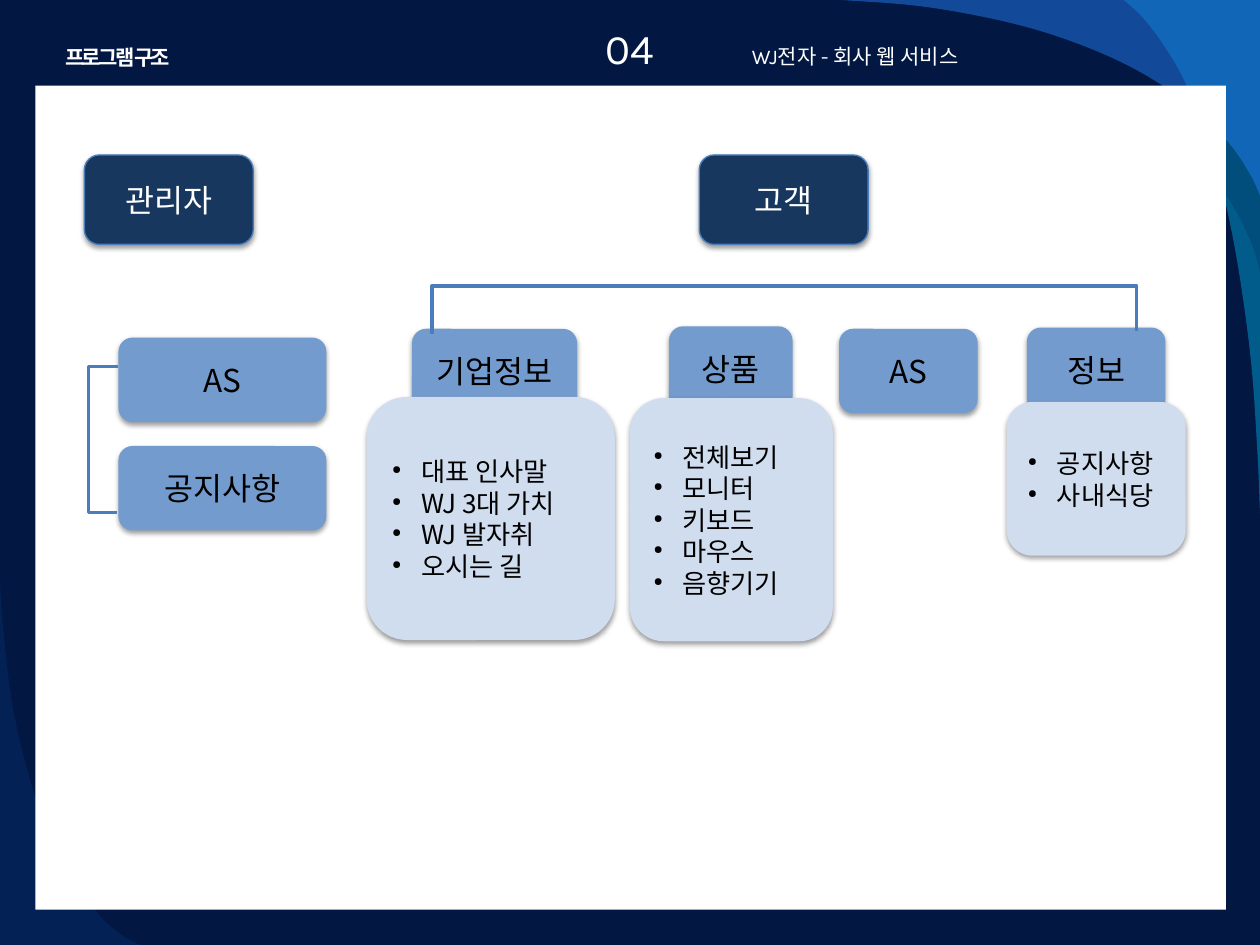
from dataclasses import dataclass

from lxml.etree import SubElement
from pptx import Presentation
from pptx.dml.color import RGBColor
from pptx.enum.shapes import MSO_CONNECTOR, MSO_SHAPE
from pptx.enum.text import MSO_ANCHOR, MSO_AUTO_SIZE, PP_ALIGN
from pptx.oxml.ns import qn
from pptx.util import Inches, Pt

NAVY = RGBColor(0x02, 0x17, 0x41)
CYAN = RGBColor(0x00, 0xB1, 0xE9)
BRIGHT = RGBColor(0x24, 0x7F, 0xF4)
ROYAL = RGBColor(0x08, 0x4A, 0xA1)
ROLE_FILL = RGBColor(0x17, 0x37, 0x5E)
MENU_FILL = RGBColor(0x74, 0x9B, 0xCE)
LIST_FILL = RGBColor(0xD0, 0xDD, 0xEF)
LINE = RGBColor(0x4A, 0x7E, 0xBB)
WHITE = RGBColor(0xFF, 0xFF, 0xFF)
BLACK = RGBColor(0x00, 0x00, 0x00)
KARLA, NOTO = "Karla", "Noto Sans CJK KR"


@dataclass
class Box:
    lines: list[str]
    left: float
    top: float
    width: float
    height: float


@dataclass
class Swoosh:
    corners: list[tuple[float, float]]
    curve: list[tuple[float, float]]
    color: RGBColor
    opacity: int


SWOOSHES = [
    Swoosh([(10, 0)], [(8.92, 0), (9.07, 0.14), (9.23, 0.35), (9.4, 0.64), (9.57, 1.07),
                       (9.71, 1.54), (9.83, 2.14), (9.93, 2.88), (9.98, 3.6), (10, 4.08)],
           CYAN, 45),
    Swoosh([(10, 0)], [(6.67, 0), (7.31, 0.08), (7.97, 0.24), (8.51, 0.46), (9.01, 0.76),
                       (9.43, 1.15), (9.74, 1.56), (9.92, 1.9), (10, 2.15)], NAVY, 20),
    Swoosh([(10, 0)], [(6.67, 0), (7.31, 0.05), (7.97, 0.17), (8.51, 0.33), (9.01, 0.55),
                       (9.44, 0.83), (9.75, 1.13), (9.92, 1.38), (10, 1.55)], BRIGHT, 49),
    Swoosh([(0, 7.5)], [(0, 4.58), (0.02, 4.93), (0.09, 5.54), (0.2, 6.05), (0.35, 6.52),
                        (0.54, 6.93), (0.76, 7.23), (0.95, 7.41), (1.11, 7.5)], ROYAL, 20),
]
ROLES = [Box(["고객"], 5.55, 1.23, 1.34, 0.71), Box(["관리자"], 0.67, 1.23, 1.34, 0.71)]
MENUS = [
    Box(["AS"], 0.94, 2.68, 1.65, 0.67),
    Box(["공지사항"], 0.94, 3.54, 1.65, 0.67),
    Box(["기업정보"], 3.27, 2.61, 1.31, 0.67),
    Box(["상품"], 5.31, 2.59, 0.98, 0.67),
    Box(["AS"], 6.66, 2.61, 1.1, 0.67),
    Box(["정보"], 8.15, 2.6, 1.1, 0.67),
]
LISTS = [
    Box(["대표 인사말", "WJ 3대 가치", "WJ 발자취", "오시는 길"], 2.91, 3.15, 1.97, 1.93),
    Box(["전체보기", "모니터", "키보드", "마우스", "음향기기"], 5, 3.16, 1.61, 1.93),
    Box(["공지사항", "사내식당"], 7.99, 3.19, 1.42, 1.22),
]


def smooth(points: list[tuple[float, float]], steps: int = 5) -> list[tuple[float, float]]:
    """Catmull-Rom curve through the points."""
    ext = [points[0], *points, points[-1]]
    out = [points[0]]
    for a, b, c, d in zip(ext, ext[1:], ext[2:], ext[3:]):
        for t in (i / steps for i in range(1, steps + 1)):
            out.append(tuple(
                (2 * q + (r - p) * t + (2 * p - 5 * q + 4 * r - v) * t**2
                 + (3 * q - p - 3 * r + v) * t**3) / 2
                for p, q, r, v in zip(a, b, c, d)))
    return out


def add_swoosh(s, sw: Swoosh) -> None:
    pts = [(Inches(x), Inches(y)) for x, y in smooth(sw.curve) + sw.corners]
    builder = s.shapes.build_freeform(*pts[0])
    builder.add_line_segments(pts[1:], close=True)
    sp = builder.convert_to_shape()
    sp.shadow.inherit = False
    sp.fill.solid()
    sp.fill.fore_color.rgb = sw.color
    sp.line.fill.background()
    color = sp._element.spPr.find(".//" + qn("a:srgbClr"))
    SubElement(color, qn("a:alpha"), val=str(sw.opacity * 1000))


def add_bullet(p) -> None:
    pPr = p._p.get_or_add_pPr()
    pPr.set("marL", str(Inches(0.24)))
    pPr.set("indent", str(Inches(-0.23)))
    SubElement(SubElement(pPr, qn("a:buClr")), qn("a:srgbClr"), val=str(BLACK))
    SubElement(pPr, qn("a:buSzPct"), val="45000")
    SubElement(pPr, qn("a:buChar"), char="●")


def write(sp, lines: list[str], *, size: float, font: str, color: RGBColor,
          align=PP_ALIGN.CENTER, anchor=MSO_ANCHOR.TOP, bold: bool = False,
          wrap: bool = True, bullets: bool = False, spacing: float = 0) -> None:
    tf = sp.text_frame
    tf.word_wrap = wrap
    tf.auto_size = MSO_AUTO_SIZE.NONE
    tf.vertical_anchor = anchor
    for i, text in enumerate(lines):
        p = tf.add_paragraph() if i else tf.paragraphs[0]
        p.alignment = align
        if bullets:
            add_bullet(p)
        r = p.add_run()
        r.text = text
        r.font.size, r.font.name, r.font.bold = Pt(size), font, bold
        r.font.color.rgb = color
        rPr = r._r.get_or_add_rPr()
        SubElement(rPr, qn("a:ea"), typeface=NOTO)
        if spacing:
            rPr.set("spc", str(int(spacing * 100)))


def add_box(s, box: Box, fill: RGBColor, *, outlined: bool = False, **text_format) -> None:
    sp = s.shapes.add_shape(MSO_SHAPE.ROUNDED_RECTANGLE, Inches(box.left), Inches(box.top),
                            Inches(box.width), Inches(box.height))
    sp.fill.solid()
    sp.fill.fore_color.rgb = fill
    if outlined:
        sp.line.color.rgb = LINE
        sp.line.width = Pt(0.77)
    else:
        sp.line.fill.background()
    # Soft shadow straight below
    shadow = SubElement(SubElement(sp._element.spPr, qn("a:effectLst")), qn("a:outerShdw"),
                        blurRad=str(Pt(3.1)), dist=str(Pt(1.6)), dir="5400000",
                        rotWithShape="0")
    SubElement(SubElement(shadow, qn("a:srgbClr"), val=str(BLACK)), qn("a:alpha"), val="38000")
    write(sp, box.lines, anchor=MSO_ANCHOR.MIDDLE, **text_format)


def add_bracket(s, x1: float, y1: float, x2: float, y2: float, reach: float):
    """Elbow line whose middle part lies `reach` widths away from its start."""
    c = s.shapes.add_connector(MSO_CONNECTOR.ELBOW, Inches(x1), Inches(y1),
                               Inches(x2), Inches(y2))
    c.line.color.rgb = LINE
    c.line.width = Pt(2)
    spPr = c._element.spPr
    SubElement(spPr, qn("a:effectLst"))
    guides = spPr.find(qn("a:prstGeom")).get_or_add_avLst()
    SubElement(guides, qn("a:gd"), name="adj1", fmla=f"val {round(reach * 100000)}")
    return c


def main() -> None:
    prs = Presentation()
    prs.slide_width, prs.slide_height = Inches(10), Inches(7.5)
    s = prs.slides.add_slide(prs.slide_layouts[5])

    # Background and white panel
    s.background.fill.solid()
    s.background.fill.fore_color.rgb = NAVY
    for sw in SWOOSHES:
        add_swoosh(s, sw)
    panel = s.shapes.add_shape(MSO_SHAPE.RECTANGLE, Inches(0.28), Inches(0.68),
                               Inches(9.45), Inches(6.54))
    panel.shadow.inherit = False
    panel.fill.solid()
    panel.fill.fore_color.rgb = WHITE
    panel.line.fill.background()

    # Header
    title = s.shapes.title
    title.left, title.top, title.width, title.height = map(Inches, (0.4, 0.3, 1.07, 0.3))
    s.shapes._spTree.append(title._element)
    header = dict(font=KARLA, color=WHITE)
    write(title, ["프로그램 구조"], size=12, bold=True, wrap=False, spacing=-1.5, **header)
    number = s.shapes.add_textbox(Inches(4.41), Inches(0.13), Inches(1.18), Inches(0.5))
    write(number, ["04"], size=24, **header)
    service = s.shapes.add_textbox(Inches(5.87), Inches(0.3), Inches(3.94), Inches(0.3))
    write(service, ["WJ전자 - 회사 웹 서비스"], size=12, align=PP_ALIGN.JUSTIFY, **header)

    # Roles, their menus and the menu contents
    for box in ROLES:
        add_box(s, box, ROLE_FILL, outlined=True, size=18, font=KARLA, color=WHITE)
    for box in MENUS:
        add_box(s, box, MENU_FILL, size=18, font=NOTO, color=BLACK)
    for box in LISTS:
        add_box(s, box, LIST_FILL, size=15, font=NOTO, color=BLACK,
                align=PP_ALIGN.LEFT, bullets=True)

    # Brackets: admin opens to the right, customer is turned to open downwards
    add_bracket(s, 0.94, 2.91, 0.93, 4.07, reach=24)
    top = add_bracket(s, 6.235, -0.155, 6.215, 5.435, reach=19)
    top.rotation = 90
    top._element.spPr.find(qn("a:xfrm")).set("flipV", "1")

    prs.save("out.pptx")


if __name__ == "__main__":
    main()
